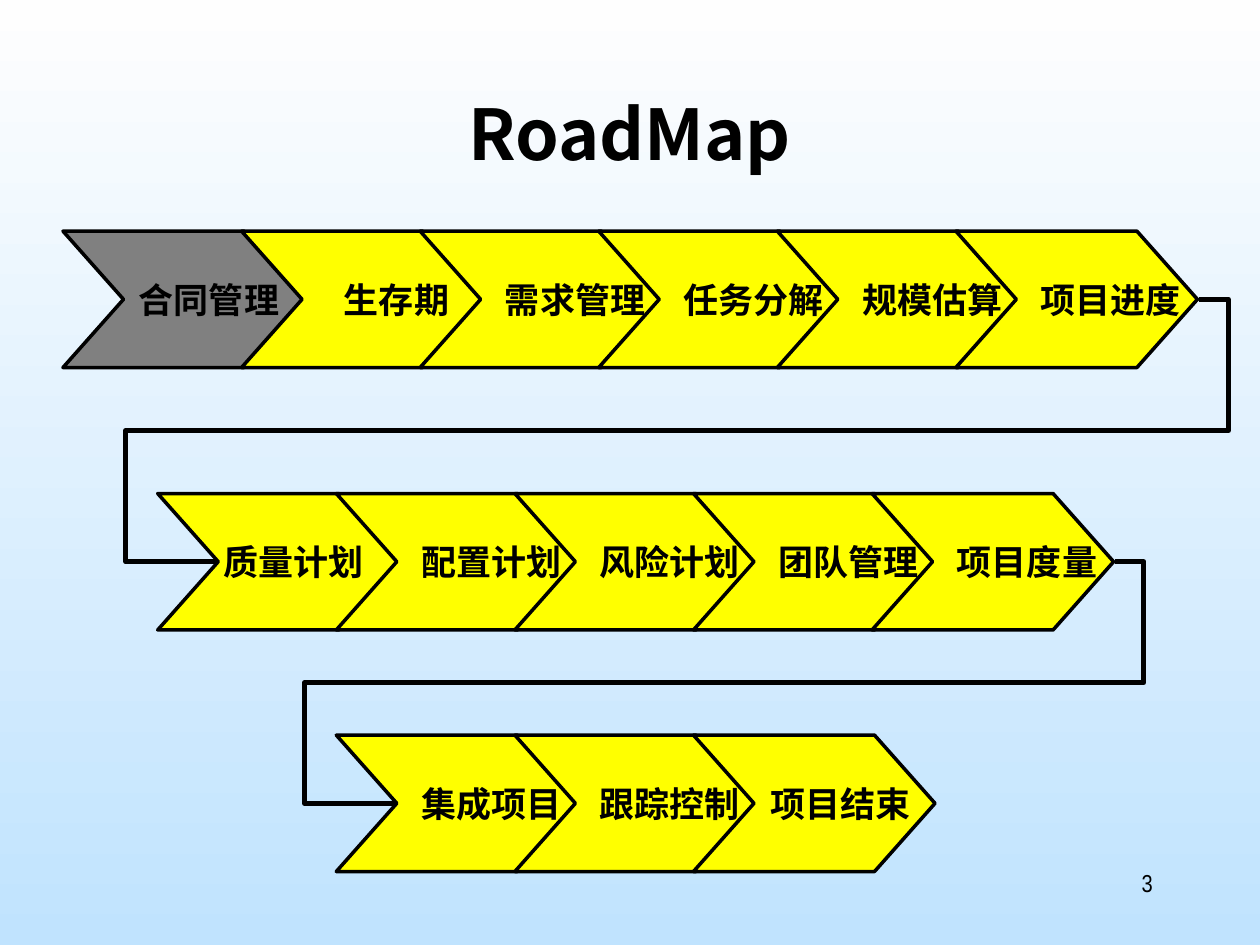
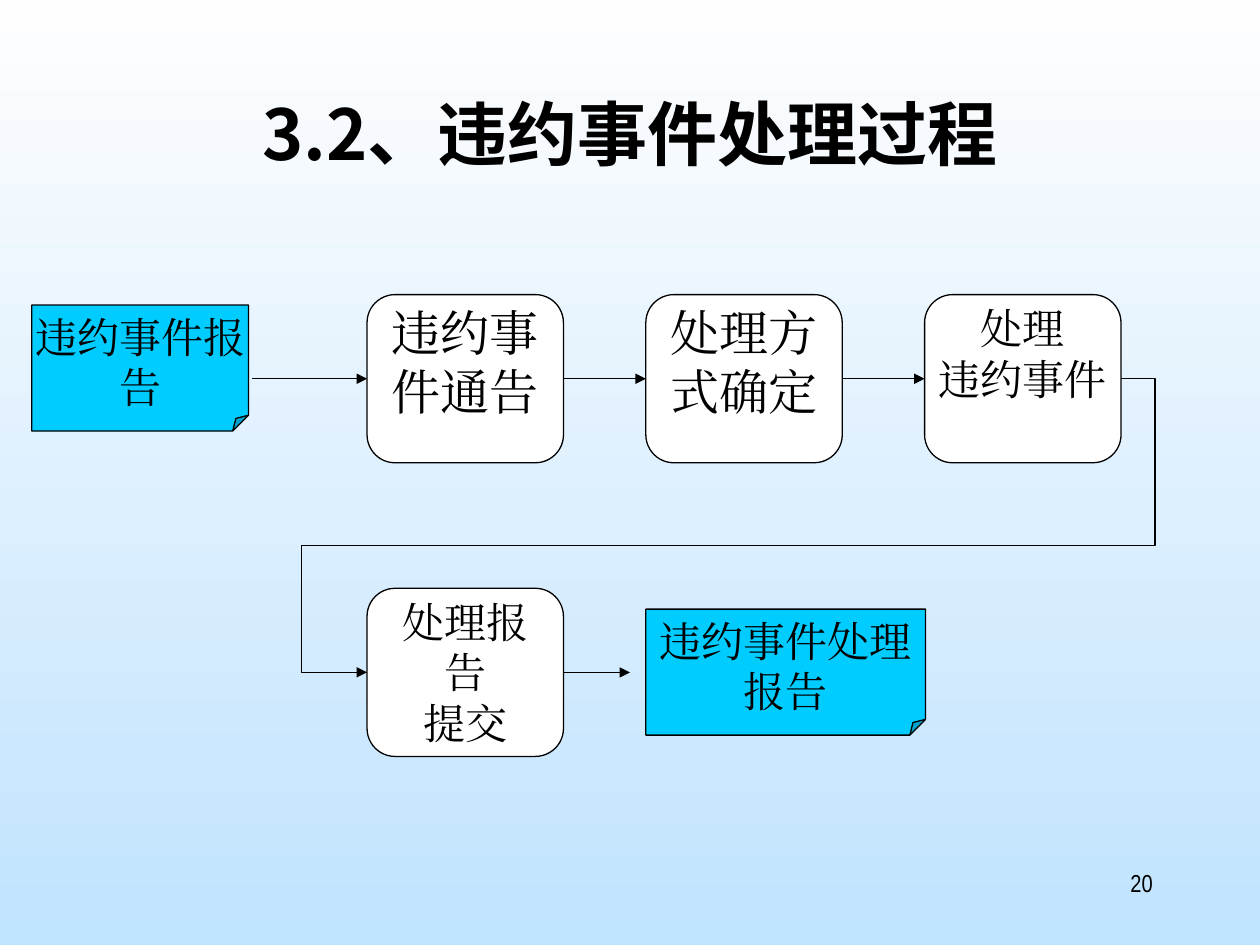
from lxml import etree
from pptx import Presentation
from pptx.dml.color import RGBColor
from pptx.enum.shapes import MSO_CONNECTOR as Connector, MSO_SHAPE as Preset
from pptx.enum.text import MSO_ANCHOR as Anchor, PP_ALIGN as Align
from pptx.oxml.ns import qn
from pptx.util import Cm, Pt

COLORS = {"ink": "000000", "top": "FEFEFE", "bottom": "C0E3FE", "done": "808080",
          "step": "FFFF00", "box": "FFFFFF", "note": "00CCFF"}
TITLE_FONT, LABEL_FONT, FLOW_FONT = "Noto Sans CJK SC", "Arial Narrow", "Times New Roman"

# Roadmap: lengths in cm; lanes are the x of the outer legs of the line to the next row
ROADMAP_ROWS = [
    {"left": 1.27, "top": 4.66, "lanes": (24.77, 2.54),
     "steps": ["合同管理", "生存期", "需求管理", "任务分解", "规模估算", "项目进度"]},
    {"left": 3.18, "top": 9.95, "lanes": (23.06, 6.15),
     "steps": ["质量计划", "配置计划", "风险计划", "团队管理", "项目度量"]},
    {"left": 6.78, "top": 14.82, "lanes": None,
     "steps": ["集成项目", "跟踪控制", "项目结束"]},
]
DONE_STEPS = {"合同管理"}
LABEL_SHIFT = {"合同管理": 0.51, "质量计划": 0.3, "项目结束": 0.53}
DEFAULT_SHIFT = 0.69
STEP_WIDTH, STEP_HEIGHT, STEP_PITCH, NOTCH = 4.87, 2.75, 3.6, 1.22

# Breach process: text, column, row, size, side inset
PROCESS_BOXES = [
    ("违约事件通告", 0, 0, 28, 0.25),
    ("处理方式确定", 1, 0, 28, 0.25),
    ("处理\n违约事件", 2, 0, 24, 0),
    ("处理报告\n提交", 0, 1, 24, 0.25),
]
BOX_WIDTH, BOX_HEIGHT = 3.96, 3.39
COLUMN_LEFT, COLUMN_PITCH, ROW_TOPS = 7.4, 5.62, (5.94, 11.86)
NOTES = [("违约事件报告", 0.64, 6.15, 4.37), ("违约事件处理报告", 13.02, 12.28, 5.64)]
NOTE_HEIGHT = 2.54


def color(name):
    return RGBColor.from_string(COLORS[name])


def write(shape, text, size, font_name, bold=False, align=Align.CENTER,
          anchor=Anchor.TOP, wrap=True, insets=(0.25, 0.13, 0.25, 0.13)):
    frame = shape.text_frame
    frame.text = text
    frame.word_wrap, frame.vertical_anchor = wrap, anchor
    (frame.margin_left, frame.margin_top,
     frame.margin_right, frame.margin_bottom) = map(Cm, insets)
    for paragraph in frame.paragraphs:
        paragraph.alignment = align
        for run in paragraph.runs:
            font = run.font
            font.name, font.size, font.bold = font_name, Pt(size), bold
            font.color.rgb = color("ink")
            east_asian = etree.SubElement(run._r.get_or_add_rPr(), qn("a:ea"))
            east_asian.set("typeface", font_name)


def paint(shape, fill, line_width):
    shape.shadow.inherit = False
    shape.fill.solid()
    shape.fill.fore_color.rgb = color(fill)
    shape.line.color.rgb = color("ink")
    shape.line.width = Pt(line_width)


def set_geometry(shape, preset, guides):
    """Set the preset outline and its named adjustments, given as ratios."""
    geometry = shape._element.spPr.find(qn("a:prstGeom"))
    geometry.set("prst", preset)
    for child in list(geometry):
        geometry.remove(child)
    adjustments = etree.SubElement(geometry, qn("a:avLst"))
    for name, ratio in guides.items():
        guide = etree.SubElement(adjustments, qn("a:gd"))
        guide.set("name", name)
        guide.set("fmla", f"val {round(ratio * 100000)}")


def add_base_slide(presentation, title, number):
    slide = presentation.slides.add_slide(presentation.slide_layouts[6])
    fill = slide.background.fill
    fill.gradient()
    fill.gradient_angle = 270
    for stop, name, position in zip(fill.gradient_stops, ("top", "bottom"), (0, 1)):
        stop.color.rgb, stop.position = color(name), position
    title_box = slide.shapes.add_textbox(Cm(1.9), Cm(1.7), Cm(21.6), Cm(3.18))
    write(title_box, title, 40, TITLE_FONT, bold=True)
    number_box = slide.shapes.add_textbox(Cm(18.2), Cm(17.36), Cm(5.29), Cm(1.27))
    write(number_box, number, 14, LABEL_FONT, align=Align.RIGHT)
    return slide


def add_line(slide, start, end, width=0.75, arrow=True, kind=Connector.STRAIGHT):
    line = slide.shapes.add_connector(kind, *map(Cm, (*start, *end)))
    line.line.color.rgb = color("ink")
    line.line.width = Pt(width)
    if arrow:
        etree.SubElement(line.line._get_or_add_ln(), qn("a:tailEnd")).set("type", "triangle")
    etree.SubElement(line._element.spPr, qn("a:effectLst"))
    return line


def add_return_line(slide, start, end, lanes, middle, width=0.75, arrow=True):
    """Leave to the right lane, cross back at height middle, enter from the left lane."""
    line = add_line(slide, start, end, width, arrow, Connector.ELBOW)
    span, drop = end[0] - start[0], end[1] - start[1]
    set_geometry(line, "bentConnector5", {
        "adj1": (lanes[0] - start[0]) / span,
        "adj2": (middle - start[1]) / drop,
        "adj3": (lanes[1] - start[0]) / span,
    })


def add_step(slide, label, left, top):
    right, bottom, middle = left + STEP_WIDTH, top + STEP_HEIGHT, top + STEP_HEIGHT / 2
    outline = [(left, top), (right - NOTCH, top), (right, middle),
               (right - NOTCH, bottom), (left, bottom), (left + NOTCH, middle)]
    points = [(Cm(x), Cm(y)) for x, y in outline]
    builder = slide.shapes.build_freeform(*points[0])
    builder.add_line_segments(points[1:], close=True)
    shape = builder.convert_to_shape()
    paint(shape, "done" if label in DONE_STEPS else "step", 2)
    shift = LABEL_SHIFT.get(label, DEFAULT_SHIFT)
    write(shape, label, 20, LABEL_FONT, bold=True, anchor=Anchor.MIDDLE, wrap=False,
          insets=(0.25 + 2 * shift, 0.13, 0.25, 0.13))


def build_roadmap(presentation):
    slide = add_base_slide(presentation, "RoadMap", "3")
    for row in ROADMAP_ROWS:
        for index, label in enumerate(row["steps"]):
            add_step(slide, label, row["left"] + index * STEP_PITCH, row["top"])
    for row, following in zip(ROADMAP_ROWS, ROADMAP_ROWS[1:]):
        right = row["left"] + (len(row["steps"]) - 1) * STEP_PITCH + STEP_WIDTH
        start = (right + 0.03, row["top"] + STEP_HEIGHT / 2)
        end = (following["left"] + NOTCH - 0.04, following["top"] + STEP_HEIGHT / 2)
        add_return_line(slide, start, end, row["lanes"], (start[1] + end[1]) / 2,
                        width=3, arrow=False)


def build_breach_process(presentation):
    slide = add_base_slide(presentation, "3.2、违约事件处理过程", "20")
    boxes = []
    for text, column, row, size, inset in PROCESS_BOXES:
        box = slide.shapes.add_shape(
            Preset.ROUNDED_RECTANGLE, Cm(COLUMN_LEFT + column * COLUMN_PITCH),
            Cm(ROW_TOPS[row]), Cm(BOX_WIDTH), Cm(BOX_HEIGHT))
        paint(box, "box", 0.75)
        write(box, text, size, FLOW_FONT, insets=(inset, 0, inset, 0))
        boxes.append(box)
    for text, left, top, width in NOTES:
        note = slide.shapes.add_shape(Preset.FOLDED_CORNER, *map(Cm, (left, top, width, NOTE_HEIGHT)))
        set_geometry(note, "foldedCorner", {"adj": 0.125})
        paint(note, "note", 0.75)
        write(note, text, 24, FLOW_FONT, insets=(0, 0.13, 0, 0.13))

    notice, decision, handling, report = boxes
    upper, lower = (top + BOX_HEIGHT / 2 for top in ROW_TOPS)
    box_right = COLUMN_LEFT + BOX_WIDTH
    add_line(slide, (5.08, upper), (COLUMN_LEFT, upper)).end_connect(notice, 1)
    for index, (source, target) in enumerate([(notice, decision), (decision, handling)]):
        start = box_right + index * COLUMN_PITCH
        arrow = add_line(slide, (start, upper), (start + COLUMN_PITCH - BOX_WIDTH, upper))
        arrow.begin_connect(source, 3)
        arrow.end_connect(target, 1)
    add_line(slide, (box_right, lower), (12.7, lower)).begin_connect(report, 3)
    add_return_line(slide, (box_right + 2 * COLUMN_PITCH, upper), (COLUMN_LEFT, lower),
                    lanes=(23.29, 6.07), middle=11)


def main():
    presentation = Presentation()
    presentation.slide_width, presentation.slide_height = Cm(25.4), Cm(19.05)
    build_roadmap(presentation)
    build_breach_process(presentation)
    presentation.save("out.pptx")


if __name__ == "__main__":
    main()
